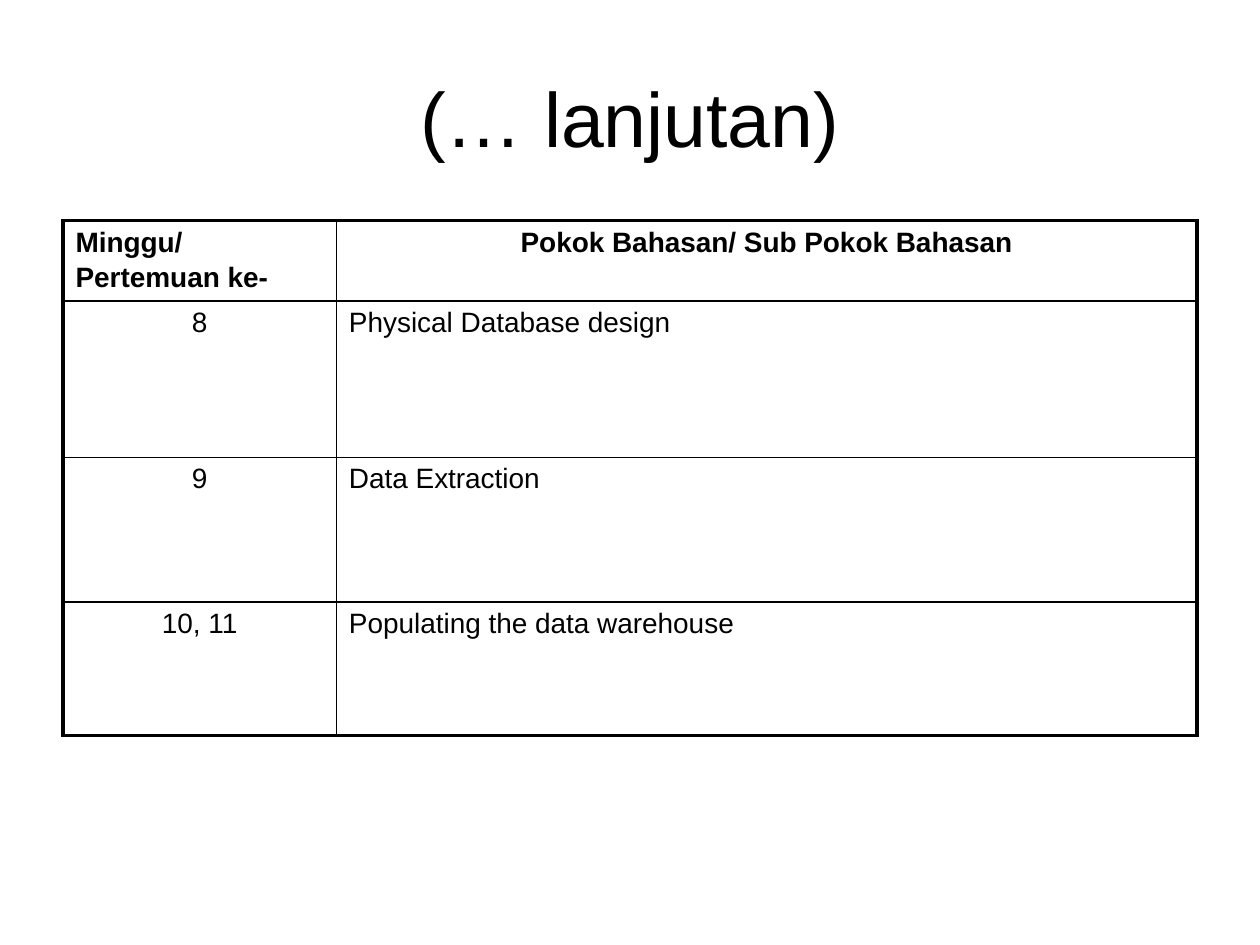
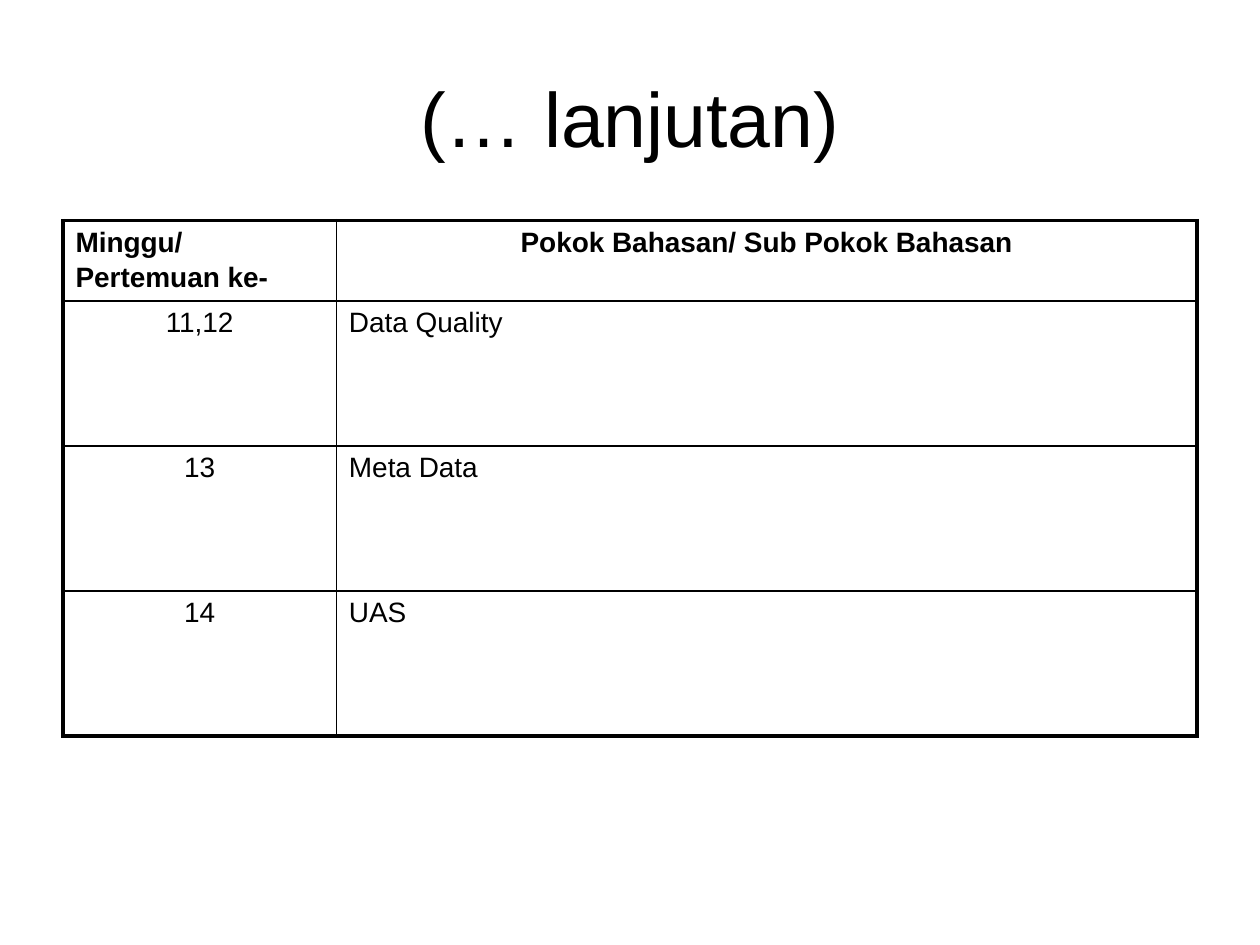
"""Build two course schedule slides, each with a title and a bordered table of weekly topics."""
from lxml.etree import SubElement
from pptx import Presentation
from pptx.dml.color import RGBColor
from pptx.enum.text import MSO_ANCHOR, PP_ALIGN
from pptx.oxml.ns import qn
from pptx.util import Inches, Pt

INK = RGBColor(0x00, 0x00, 0x00)
PAPER = RGBColor(0xFF, 0xFF, 0xFF)
FONT = "Arial"
OUTER_LINE, INNER_LINE = Pt(2.25), Pt(1)

TITLE = "(… lanjutan)"
HEADINGS = (["Minggu/", "Pertemuan ke-"], ["Pokok Bahasan/ Sub Pokok Bahasan"])
HEADING_HEIGHT = 0.64
SCHEDULES = [
    [
        ("8", "Physical Database design", 1.24),
        ("9", "Data Extraction", 1.15),
        ("10, 11", "Populating the data warehouse", 1.06),
    ],
    [
        ("11,12", "Data Quality", 1.15),
        ("13", "Meta Data", 1.15),
        ("14", "UAS", 1.15),
    ],
]


def write(paragraph, text, size, align, bold=False):
    paragraph.alignment = align
    run = paragraph.add_run()
    run.text = text
    run.font.name = FONT
    run.font.size = Pt(size)
    run.font.bold = bold
    run.font.color.rgb = INK


def draw_borders(cell, outer_sides):
    properties = cell._tc.get_or_add_tcPr()
    for side in "LRTB":
        width = OUTER_LINE if side in outer_sides else INNER_LINE
        line = SubElement(properties, qn(f"a:ln{side}"), w=str(width))
        fill = SubElement(line, qn("a:solidFill"))
        SubElement(fill, qn("a:srgbClr"), val=str(INK))


deck = Presentation()
deck.slide_width, deck.slide_height = Inches(10), Inches(7.5)
margin = int(deck.slide_width * 0.05)
content_width = deck.slide_width - 2 * margin
week_width = Inches(2.17)

for schedule in SCHEDULES:
    slide = deck.slides.add_slide(deck.slide_layouts[5])
    slide.background.fill.solid()
    slide.background.fill.fore_color.rgb = PAPER

    title = slide.shapes.title
    title.left, title.top = margin, int(deck.slide_height * 0.04)
    title.width, title.height = content_width, Inches(1.25)
    title.text_frame.vertical_anchor = MSO_ANCHOR.MIDDLE
    write(title.text_frame.paragraphs[0], TITLE, 44, PP_ALIGN.CENTER)

    heights = [HEADING_HEIGHT] + [height for _, _, height in schedule]
    rows = [HEADINGS] + [([week], [topic]) for week, topic, _ in schedule]
    table = slide.shapes.add_table(
        len(rows), 2, margin, Inches(1.75), content_width, Inches(sum(heights))
    ).table
    table.first_row = table.horz_banding = False
    table.columns[0].width = week_width
    table.columns[1].width = content_width - week_width

    for row_index, (row, height) in enumerate(zip(rows, heights)):
        table.rows[row_index].height = Inches(height)
        is_heading = row_index == 0
        for column_index, lines in enumerate(row):
            cell = table.cell(row_index, column_index)
            outer_sides = "LR"[column_index]
            if is_heading:
                outer_sides += "T"
            if row_index == len(rows) - 1:
                outer_sides += "B"
            draw_borders(cell, outer_sides)
            cell.fill.background()

            centred = is_heading == (column_index == 1)
            align = PP_ALIGN.CENTER if centred else PP_ALIGN.LEFT
            for line_index, text in enumerate(lines):
                frame = cell.text_frame
                paragraph = frame.add_paragraph() if line_index else frame.paragraphs[0]
                if line_index:
                    paragraph.space_before = Pt(2.3)
                write(paragraph, text, 16, align, is_heading)

deck.save("out.pptx")
